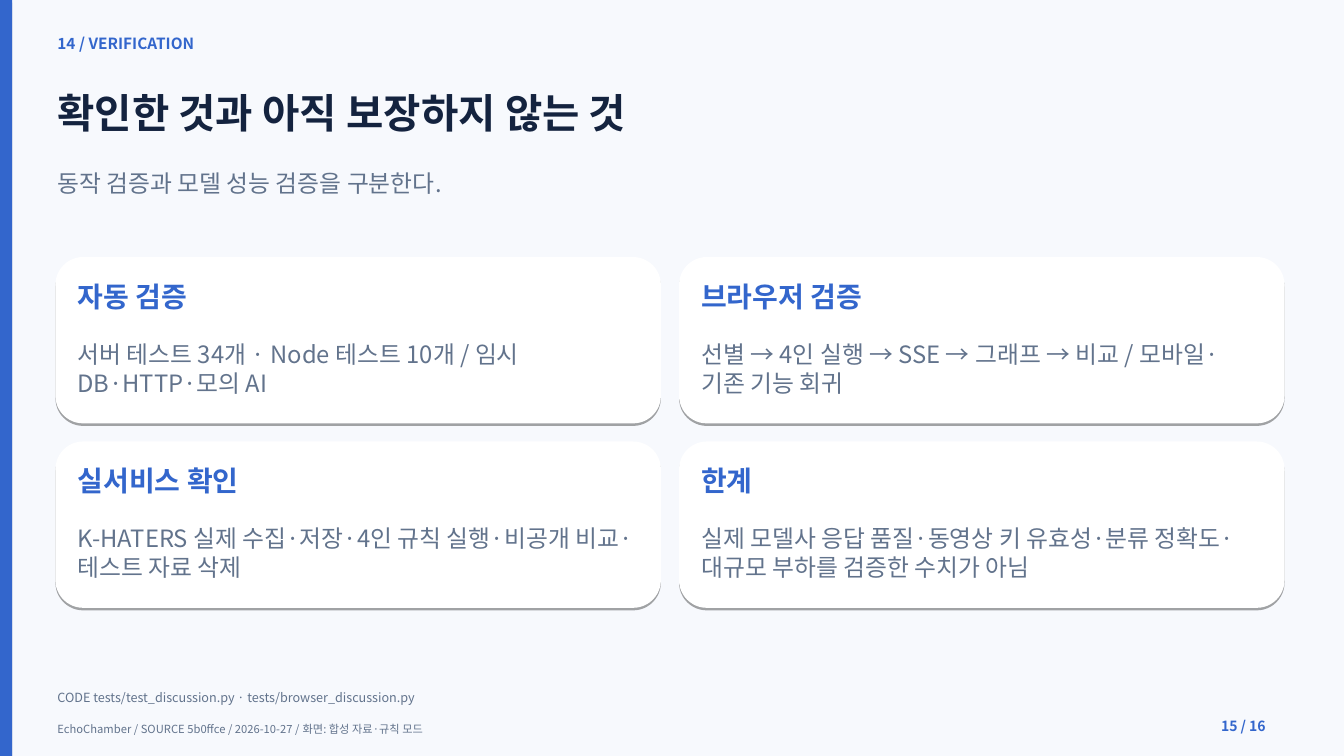
from lxml import etree
from pptx import Presentation
from pptx.dml.color import RGBColor
from pptx.enum.shapes import MSO_SHAPE
from pptx.enum.text import MSO_AUTO_SIZE
from pptx.oxml.ns import qn
from pptx.util import Pt

RECTANGLE = MSO_SHAPE.RECTANGLE
ROUNDED = MSO_SHAPE.ROUNDED_RECTANGLE
GROW = MSO_AUTO_SIZE.SHAPE_TO_FIT_TEXT

FONT = "Noto Sans CJK KR"
COLORS = {
    "background": "F7F9FD",
    "accent": "3366CC",
    "title": "14233F",
    "muted": "62738C",
    "card": "FFFFFF",
    "shadow": "000000",
}
PAGE_WIDTH, PAGE_HEIGHT = 960.48, 540
MARGIN = 39.6
CARD_GAP = 12.96
CARD_PADDING = 14.4

CARDS = [
    ("자동 검증", "서버 테스트 34개 · Node 테스트 10개 / 임시 DB·HTTP·모의 AI"),
    ("브라우저 검증", "선별 → 4인 실행 → SSE → 그래프 → 비교 / 모바일·기존 기능 회귀"),
    ("실서비스 확인", "K-HATERS 실제 수집·저장·4인 규칙 실행·비공개 비교·테스트 자료 삭제"),
    ("한계", "실제 모델사 응답 품질·동영상 키 유효성·분류 정확도·대규모 부하를 검증한 수치가 아님"),
]


def color(name):
    """Return the named palette colour."""
    return RGBColor.from_string(COLORS[name])


def add_text(slide, box, wording, size, tone, bold=False):
    """Place one line or paragraph of text in a box."""
    label = slide.shapes.add_textbox(*map(Pt, box))
    frame = label.text_frame
    frame.word_wrap = True
    frame.auto_size = GROW
    frame.margin_left = frame.margin_right = Pt(1.44)
    frame.margin_top = frame.margin_bottom = Pt(1.44)
    paragraph = frame.paragraphs[0]
    paragraph.text = wording
    font = paragraph.font
    font.name = FONT
    font.size = Pt(size)
    font.bold = bold
    font.color.rgb = color(tone)
    defaults = paragraph._p.pPr.find(qn("a:defRPr"))
    latin = defaults.find(qn("a:latin"))
    latin.addnext(etree.Element(qn("a:ea"), typeface=FONT))


def add_panel(slide, kind, box, tone):
    """Place a borderless filled panel with a thin shadow below it."""
    panel = slide.shapes.add_shape(kind, *map(Pt, box))
    panel.fill.solid()
    panel.fill.fore_color.rgb = color(tone)
    panel.line.fill.background()
    panel.shadow.inherit = False
    effects = panel._element.spPr.find(qn("a:effectLst"))
    shadow = etree.SubElement(
        effects, qn("a:outerShdw"), blurRad="0", dist=str(Pt(1.8)),
        dir="5400000", rotWithShape="0")
    shade = etree.SubElement(shadow, qn("a:srgbClr"), val=COLORS["shadow"])
    etree.SubElement(shade, qn("a:alpha"), val="35000")


def add_header(slide, box):
    """Place the section label, title and subtitle."""
    left, top, width, _ = box
    add_text(slide, (left, top, width, 15.84), "14 / VERIFICATION", 11, "accent", True)
    add_text(slide, (left, top + 38.16, width, 37.44),
             "확인한 것과 아직 보장하지 않는 것", 29, "title", True)
    add_text(slide, (left, top + 95.76, width, 23.04),
             "동작 검증과 모델 성능 검증을 구분한다.", 17, "muted")


def add_card(slide, box, heading, detail):
    """Place a white card with its heading and detail."""
    left, top, width, _ = box
    text_left = left + CARD_PADDING
    text_width = width - 2 * CARD_PADDING
    add_panel(slide, ROUNDED, box, "card")
    add_text(slide, (text_left, top + 14.4, text_width, 26.64),
             heading, 20, "accent", True)
    add_text(slide, (text_left, top + 57.6, text_width, 43.92), detail, 17, "muted")


def add_card_grid(slide, box):
    """Lay the cards out in two columns and two rows."""
    left, top, width, height = box
    card_width = (width - CARD_GAP) / 2
    card_height = (height - CARD_GAP) / 2
    for index, (heading, detail) in enumerate(CARDS):
        row, column = divmod(index, 2)
        card_box = (left + column * (card_width + CARD_GAP),
                    top + row * (card_height + CARD_GAP), card_width, card_height)
        add_card(slide, card_box, heading, detail)


def add_footer(slide, box):
    """Place the code reference, source line and page number."""
    left, top, width, _ = box
    add_text(slide, (left, top, 842.4, 13.68),
             "CODE tests/test_discussion.py · tests/browser_discussion.py", 9, "muted")
    add_text(slide, (left, top + 23.76, 828, 12.24),
             "EchoChamber / SOURCE 5b0ffce / 2026-10-27 / 화면: 합성 자료·규칙 모드",
             8, "muted")
    add_text(slide, (left + width - 46.8, top + 20.16, 50.4, 15.12),
             "15 / 16", 10, "accent", True)


def main():
    """Build and save the verification slide."""
    deck = Presentation()
    deck.slide_width, deck.slide_height = Pt(PAGE_WIDTH), Pt(PAGE_HEIGHT)
    slide = deck.slides.add_slide(deck.slide_layouts[6])
    slide.background.fill.solid()
    slide.background.fill.fore_color.rgb = color("background")
    add_panel(slide, RECTANGLE, (0, 0, 8.64, PAGE_HEIGHT), "accent")
    add_header(slide, (MARGIN, 23.04, 864, 120))
    add_card_grid(slide, (MARGIN, 183.6, 878.4, 250.56))
    add_footer(slide, (MARGIN, 491.04, 878.4, 36))
    deck.save("out.pptx")


if __name__ == "__main__":
    main()
